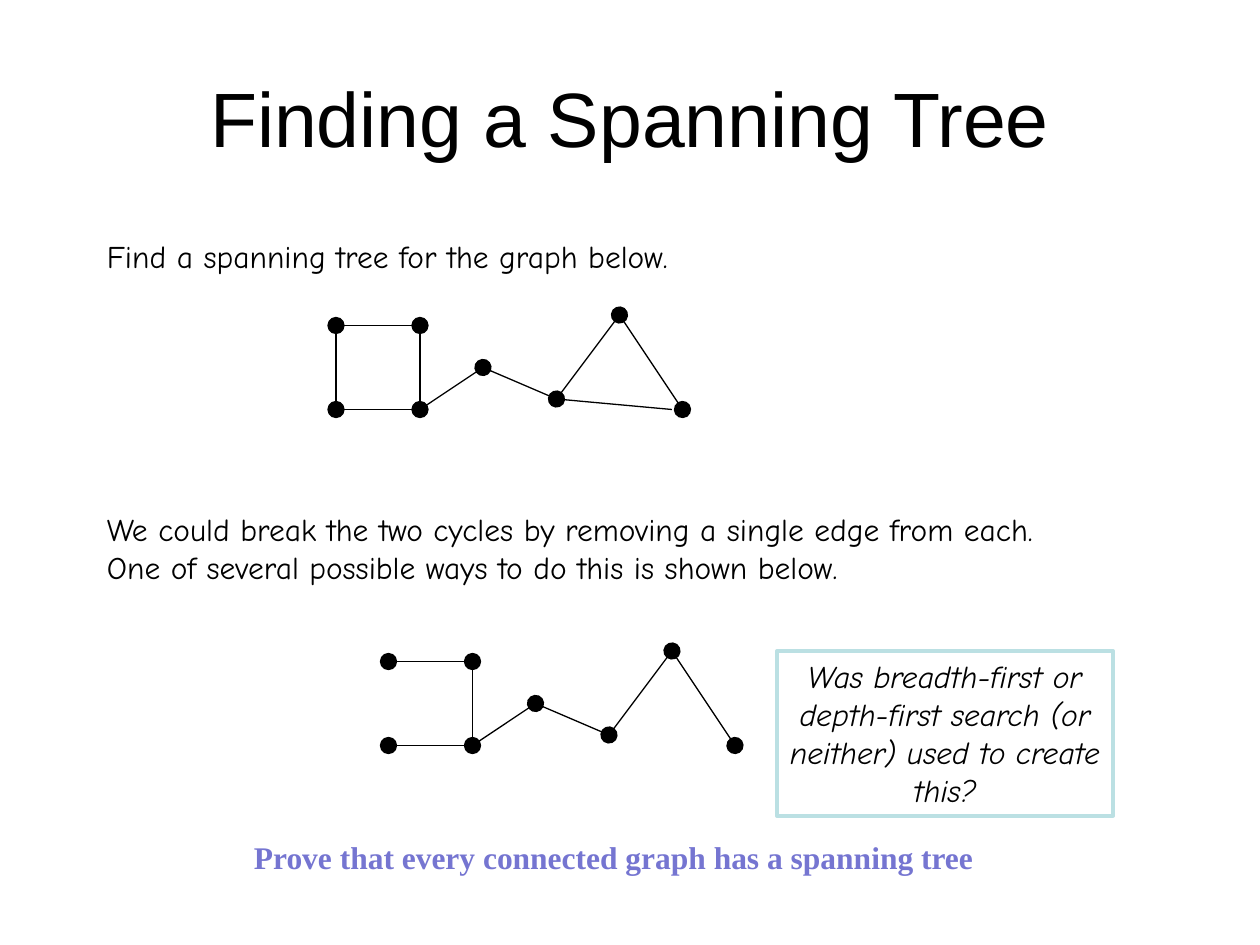
"""Build the slide on finding a spanning tree."""
from typing import NamedTuple

from lxml import etree
from pptx import Presentation
from pptx.dml.color import RGBColor
from pptx.enum.shapes import MSO_CONNECTOR, MSO_SHAPE
from pptx.enum.text import MSO_ANCHOR, MSO_AUTO_SIZE, PP_ALIGN
from pptx.oxml.ns import qn
from pptx.util import Emu, Pt

PX = 7620
TITLE_ONLY = 5
STRAIGHT = MSO_CONNECTOR.STRAIGHT
RECTANGLE = MSO_SHAPE.RECTANGLE
TOP, MIDDLE = MSO_ANCHOR.TOP, MSO_ANCHOR.MIDDLE
GROW = MSO_AUTO_SIZE.SHAPE_TO_FIT_TEXT
LEFT, CENTER, JUSTIFY = PP_ALIGN.LEFT, PP_ALIGN.CENTER, PP_ALIGN.JUSTIFY
COLORS = {"black": "000000", "frame": "BBE0E3", "prompt": "7575D1"}


class Box(NamedTuple):
    left: int
    top: int
    width: int
    height: int


class Style(NamedTuple):
    font: str = "Comic Neue"
    size: int = 18
    color: str = "black"
    bold: bool = False
    italic: bool = False
    align: PP_ALIGN = LEFT


class TextItem(NamedTuple):
    text: str
    box: Box
    style: Style = Style()


class Edge(NamedTuple):
    start: str
    end: str
    dots: str = ""


VERTICES = {
    "top_left": (320, 310), "top_right": (400, 310),
    "bottom_left": (320, 390), "bottom_right": (400, 390),
    "bridge": (460, 350), "fork": (530, 380),
    "peak": (590, 300), "far_right": (650, 390), "near_far_right": (640, 390),
}
TREE_EDGES = [
    Edge("peak", "fork", "head tail"),
    Edge("bridge", "fork", "head"),
    Edge("bottom_right", "bridge"),
    Edge("bottom_left", "bottom_right", "head tail"),
    Edge("peak", "far_right", "tail"),
    Edge("top_left", "top_right", "head tail"),
    Edge("top_right", "bottom_right"),
]
CYCLE_EDGES = [Edge("top_left", "bottom_left"), Edge("fork", "near_far_right")]
TREE_OFFSET = (50, 320)

TITLE = TextItem("Finding a Spanning Tree", Box(60, 36, 1080, 150),
                 Style("Arial", 44, align=CENTER))
TASK = TextItem("Find a spanning tree for the graph below.", Box(90, 220, 950, 68))
EXPLANATION = TextItem(
    "We could break the two cycles by removing a single edge from each. "
    "One of several possible ways to do this is shown below.",
    Box(90, 480, 960, 85))
QUESTION = TextItem(
    "Was breadth-first or depth-first search (or neither) used to create this?",
    Box(740, 620, 320, 157), Style(italic=True, align=CENTER))
PROMPT = TextItem("Prove that every connected graph has a spanning tree",
                  Box(230, 792, 750, 48),
                  Style("Times New Roman", color="prompt", bold=True, align=JUSTIFY))


def emu(*lengths: int) -> list[Emu]:
    """Turn pixel lengths into EMU."""
    return [Emu(length * PX) for length in lengths]


def rgb(name: str) -> RGBColor:
    """Look up a named colour."""
    return RGBColor.from_string(COLORS[name])


def write_text(shape, item: TextItem, anchor: MSO_ANCHOR = TOP) -> None:
    """Put an item's text into a shape and format it."""
    frame = shape.text_frame
    frame.text = item.text
    frame.word_wrap = True
    frame.vertical_anchor = anchor
    paragraph = frame.paragraphs[0]
    paragraph.alignment = item.style.align
    font = paragraph.runs[0].font
    font.name = item.style.font
    font.size = Pt(item.style.size)
    font.bold = item.style.bold
    font.italic = item.style.italic
    font.color.rgb = rgb(item.style.color)


def add_title(slide, item: TextItem) -> None:
    """Place and fill the title placeholder."""
    title = slide.shapes.title
    title.left, title.top, title.width, title.height = emu(*item.box)
    write_text(title, item, MIDDLE)


def add_text(slide, item: TextItem) -> None:
    """Add a plain text box."""
    shape = slide.shapes.add_textbox(*emu(*item.box))
    write_text(shape, item)
    shape.text_frame.auto_size = GROW


def add_framed_text(slide, item: TextItem) -> None:
    """Add text inside an outlined rectangle."""
    shape = slide.shapes.add_shape(RECTANGLE, *emu(*item.box))
    shape.shadow.inherit = False
    shape.fill.background()
    shape.line.color.rgb = rgb("frame")
    shape.line.width = Pt(2.25)
    write_text(shape, item)
    shape.text_frame.auto_size = GROW


def add_edge(slide, edge: Edge, offset: tuple[int, int]) -> None:
    """Draw an edge with round vertex dots at its marked ends."""
    points = [place + shift
              for vertex in (edge.start, edge.end)
              for place, shift in zip(VERTICES[vertex], offset)]
    connector = slide.shapes.add_connector(STRAIGHT, *emu(*points))
    connector.line.color.rgb = rgb("black")
    connector.line.width = Pt(0.75)
    properties = connector.line._get_or_add_ln()
    for end in edge.dots.split():
        etree.SubElement(properties, qn(f"a:{end}End"), type="oval", w="lg", len="lg")
    etree.SubElement(connector._element.spPr, qn("a:effectLst"))


def add_graph(slide, edges: list[Edge], offset: tuple[int, int] = (0, 0)) -> None:
    """Draw all edges of a graph."""
    for edge in edges:
        add_edge(slide, edge, offset)


def main() -> None:
    """Create and save the presentation."""
    presentation = Presentation()
    presentation.slide_width, presentation.slide_height = emu(1200, 900)
    slide = presentation.slides.add_slide(presentation.slide_layouts[TITLE_ONLY])
    add_title(slide, TITLE)
    add_text(slide, TASK)
    add_graph(slide, TREE_EDGES + CYCLE_EDGES)
    add_text(slide, EXPLANATION)
    add_graph(slide, TREE_EDGES, TREE_OFFSET)
    add_framed_text(slide, QUESTION)
    add_text(slide, PROMPT)
    presentation.save("out.pptx")


if __name__ == "__main__":
    main()
